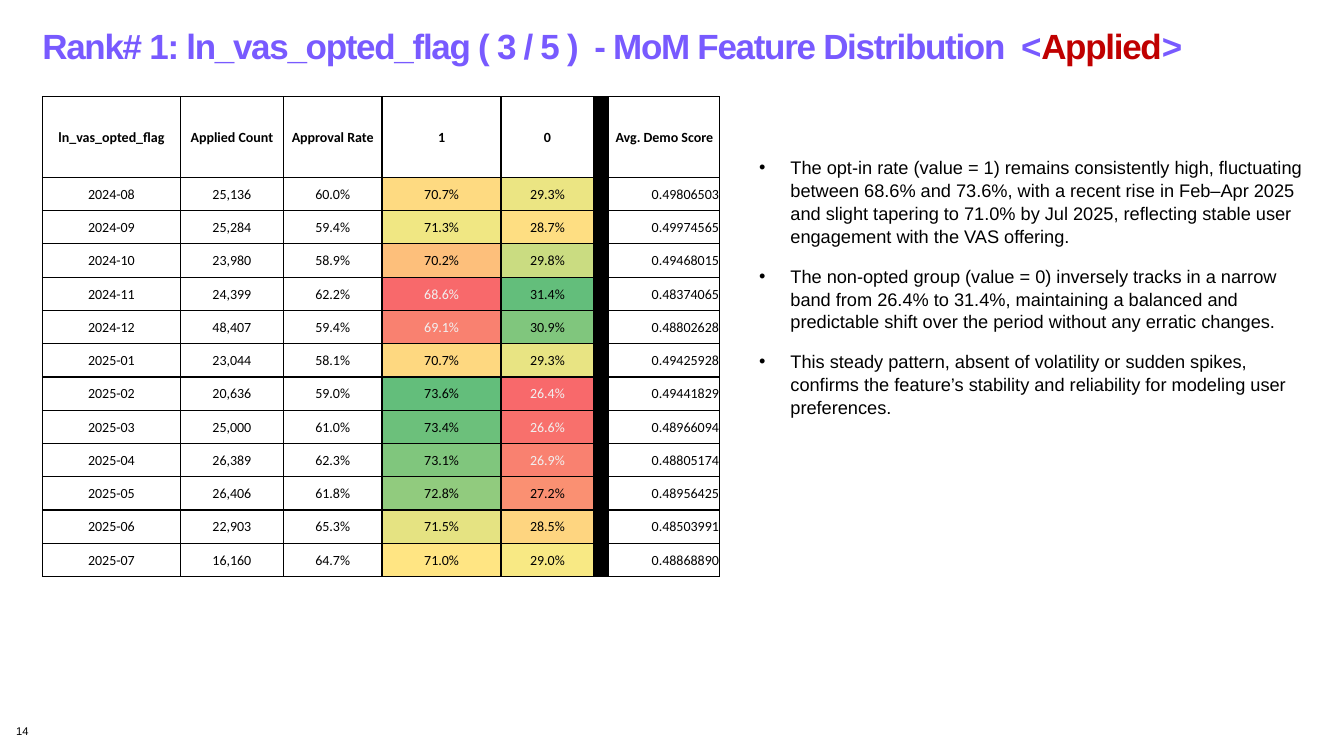
"""Build the month-on-month distribution slide for ln_vas_opted_flag."""
import pptx
import pptx.dml.color
import pptx.enum.text
import pptx.oxml
import pptx.oxml.ns
import pptx.util
from pptx.util import Inches, Pt

PURPLE, RED, BLACK, PALE = "785AFF", "C00000", "000000", "F1F1F1"
TITLE = [
    ("Rank# 1: ln_vas_opted_flag ( 3 / 5 )  - MoM Feature Distribution  <", PURPLE),
    ("Applied", RED),
    (">", PURPLE),
]
BULLETS = [
    "The opt-in rate (value = 1) remains consistently high, fluctuating between 68.6% and 73.6%, "
    "with a recent rise in Feb–Apr 2025 and slight tapering to 71.0% by Jul 2025, reflecting "
    "stable user engagement with the VAS offering.",
    "The non-opted group (value = 0) inversely tracks in a narrow band from 26.4% to 31.4%, "
    "maintaining a balanced and predictable shift over the period without any erratic changes.",
    "This steady pattern, absent of volatility or sudden spikes, confirms the feature’s stability "
    "and reliability for modeling user preferences.",
]
PAGE = "14"
HEADER = ("ln_vas_opted_flag", "Applied Count", "Approval Rate", "1", "0", "", "Avg. Demo Score")
MONTHS = [
    ("2024-08", "25,136", "60.0%", "70.7%", "29.3%", "", "0.49806503"),
    ("2024-09", "25,284", "59.4%", "71.3%", "28.7%", "", "0.49974565"),
    ("2024-10", "23,980", "58.9%", "70.2%", "29.8%", "", "0.49468015"),
    ("2024-11", "24,399", "62.2%", "68.6%", "31.4%", "", "0.48374065"),
    ("2024-12", "48,407", "59.4%", "69.1%", "30.9%", "", "0.48802628"),
    ("2025-01", "23,044", "58.1%", "70.7%", "29.3%", "", "0.49425928"),
    ("2025-02", "20,636", "59.0%", "73.6%", "26.4%", "", "0.49441829"),
    ("2025-03", "25,000", "61.0%", "73.4%", "26.6%", "", "0.48966094"),
    ("2025-04", "26,389", "62.3%", "73.1%", "26.9%", "", "0.48805174"),
    ("2025-05", "26,406", "61.8%", "72.8%", "27.2%", "", "0.48956425"),
    ("2025-06", "22,903", "65.3%", "71.5%", "28.5%", "", "0.48503991"),
    ("2025-07", "16,160", "64.7%", "71.0%", "29.0%", "", "0.48868890"),
]
HEAT = [
    ("FEDA81", "EBE583"), ("F0E783", "FEDE82"), ("FDBF7B", "CADC81"), ("F8696B", "63BE7B"),
    ("F98170", "80C67D"), ("FED880", "E8E483"), ("63BE7B", "F8696B"), ("6CC07B", "F8706C"),
    ("80C67D", "F98170"), ("91CB7E", "FA9072"), ("E5E382", "FED580"), ("FFE583", "F8E984"),
]
STRONG_REDS = {"F8696B", "F8706C", "F98170"}
COL_WIDTHS = (1.37, 1.02, 0.98, 1.18, 0.92, 0.15, 1.1)
HEADER_HEIGHT, ROW_HEIGHT = 0.8, 0.33
HEAT_COL, DIVIDER_COL, SCORE_COL = 3, 5, 6

ALIGN = pptx.enum.text.PP_ALIGN
ANCHOR = pptx.enum.text.MSO_ANCHOR


def rgb(value):
    return pptx.dml.color.RGBColor.from_string(value)


def add_run(p, text, size, color=BLACK, font="Arial", bold=False):
    r = p.add_run()
    r.text = text
    r.font.size, r.font.name, r.font.bold = Pt(size), font, bold
    r.font.color.rgb = rgb(color)
    return r


def place(sp, left, top, width, height):
    sp.left, sp.top = Inches(left), Inches(top)
    sp.width, sp.height = Inches(width), Inches(height)


def clear_margins(tf):
    tf.margin_left = tf.margin_right = tf.margin_top = tf.margin_bottom = 0
    tf.word_wrap = True


def add_borders(cell):
    tc_pr = cell._tc.get_or_add_tcPr()
    for side in ("lnL", "lnR", "lnT", "lnB"):
        tc_pr.append(pptx.oxml.parse_xml(
            f'<a:{side} {pptx.oxml.ns.nsdecls("a")} w="{Pt(1)}"><a:solidFill>'
            f'<a:srgbClr val="{BLACK}"/></a:solidFill></a:{side}>'))


def fill_title(sp):
    place(sp, 0.42, 0.18, 12.97, 0.51)
    tf = sp.text_frame
    clear_margins(tf)
    tf.vertical_anchor = ANCHOR.MIDDLE
    tf.auto_size = pptx.enum.text.MSO_AUTO_SIZE.NONE
    p = tf.paragraphs[0]
    p.alignment, p.line_spacing = ALIGN.LEFT, 1.1
    for text, color in TITLE:
        r = add_run(p, text, 25, color, bold=True)
        r._r.get_or_add_rPr().set("spc", "-90")


def fill_bullets(sp):
    place(sp, 7.43, 1.49, 5.61, 2.41)
    tf = sp.text_frame
    tf.word_wrap = True
    tf.auto_size = pptx.enum.text.MSO_AUTO_SIZE.SHAPE_TO_FIT_TEXT
    for i, text in enumerate(BULLETS):
        p = tf.add_paragraph() if i else tf.paragraphs[0]
        p.space_before, p.space_after, p.line_spacing = Pt(0), Pt(12), 1.05
        p_pr = p._p.get_or_add_pPr()
        p_pr.set("marL", str(Inches(0.31)))
        p_pr.set("indent", str(-Inches(0.31)))
        p_pr.append(pptx.oxml.parse_xml(f'<a:buChar {pptx.oxml.ns.nsdecls("a")} char="•"/>'))
        add_run(p, text, 13)


def fill_cell(cell, text, fill, bold, align):
    cell.margin_left = cell.margin_right = cell.margin_top = Inches(0.01)
    cell.margin_bottom = 0
    cell.vertical_anchor = ANCHOR.MIDDLE
    add_borders(cell)
    if fill:
        cell.fill.solid()
        cell.fill.fore_color.rgb = rgb(fill)
    else:
        cell.fill.background()
    if text:
        p = cell.text_frame.paragraphs[0]
        p.alignment = align
        add_run(p, text, 10, PALE if fill in STRONG_REDS else BLACK, "Calibri", bold)


def add_months_table(s):
    rows = [HEADER] + MONTHS
    heights = [HEADER_HEIGHT] + [ROW_HEIGHT] * len(MONTHS)
    table = s.shapes.add_table(len(rows), len(HEADER), Inches(0.42), Inches(0.96),
                               Inches(sum(COL_WIDTHS)), Inches(sum(heights))).table
    table.first_row = table.horz_banding = False
    for col, width in zip(table.columns, COL_WIDTHS):
        col.width = Inches(width)
    for i, (values, height) in enumerate(zip(rows, heights)):
        table.rows[i].height = Inches(height)
        fills = {DIVIDER_COL: BLACK}
        if i:
            fills.update(enumerate(HEAT[i - 1], HEAT_COL))
        for j, text in enumerate(values):
            align = ALIGN.RIGHT if i and j == SCORE_COL else ALIGN.CENTER
            fill_cell(table.cell(i, j), text, fills.get(j), i == 0, align)


def main():
    prs = pptx.Presentation()
    prs.slide_width, prs.slide_height = Inches(13.33), Inches(7.5)
    s = prs.slides.add_slide(prs.slide_layouts[1])
    fill_title(s.shapes.title)
    fill_bullets(s.placeholders[1])
    add_months_table(s)
    tf = s.shapes.add_textbox(Inches(0.16), Inches(7.19), Inches(2.92), Inches(0.25)).text_frame
    clear_margins(tf)
    add_run(tf.paragraphs[0], PAGE, 8)
    prs.save("out.pptx")


if __name__ == "__main__":
    main()
